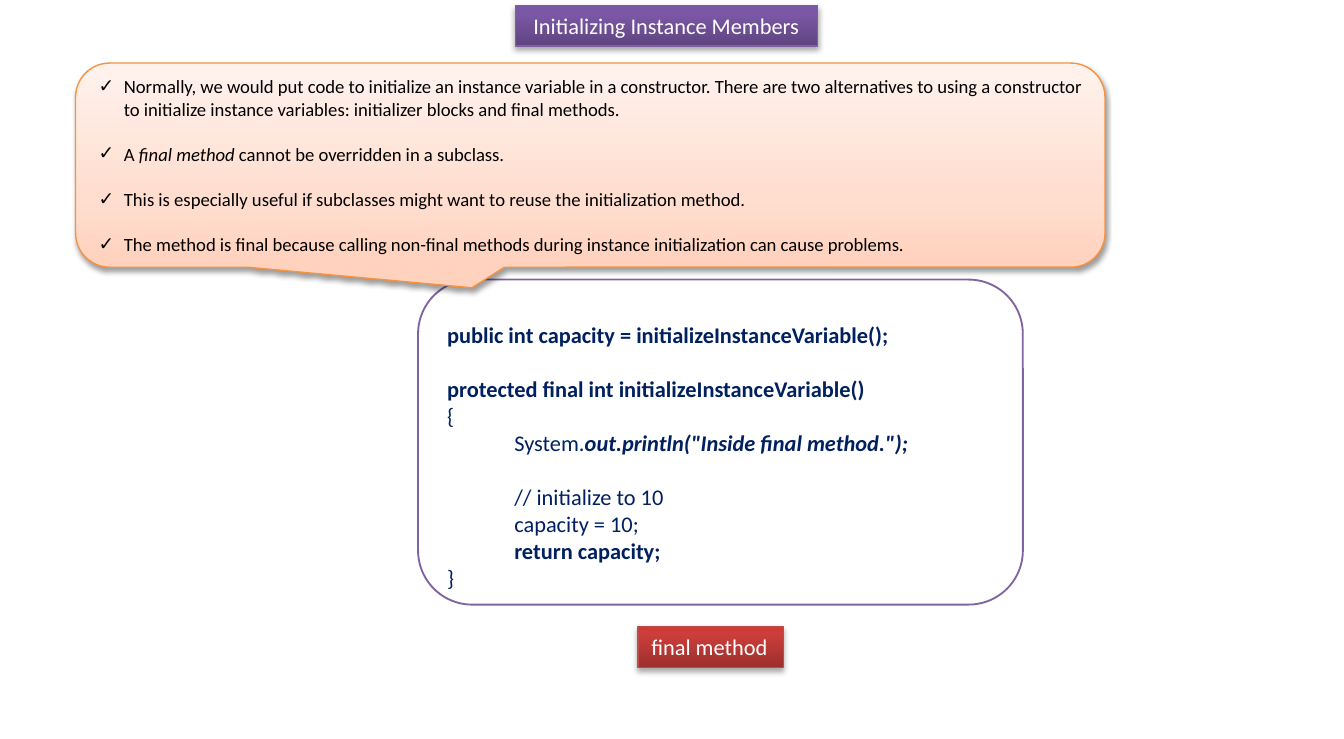
"""Builds the slide on initializing instance members with a final method."""
import pptx
import pptx.dml.color
import pptx.enum.shapes
import pptx.enum.text
import pptx.oxml.ns
import pptx.util
from lxml import etree

Pt = pptx.util.Pt
qn = pptx.oxml.ns.qn
Shape = pptx.enum.shapes.MSO_SHAPE
Align = pptx.enum.text.PP_ALIGN

PLAIN, BOLD, ITALIC, BOTH = (False, False), (True, False), (False, True), (True, True)

POINTS = [
    [("Normally, we would put code to initialize an instance variable in a constructor. "
      "There are two alternatives to using a constructor to initialize instance variables: "
      "initializer blocks and final methods.", PLAIN)],
    [("A ", PLAIN), ("final method", ITALIC), (" cannot be overridden in a subclass.", PLAIN)],
    [("This is especially useful if subclasses might want to reuse the initialization method.",
      PLAIN)],
    [("The method is final because calling non-final methods during instance initialization "
      "can cause problems.", PLAIN)],
]

CODE = [
    (0, False, [("public int capacity = initializeInstanceVariable();", BOLD)]),
    (0, True, [("protected final int initializeInstanceVariable()", BOLD)]),
    (0, False, [("{", PLAIN)]),
    (1, False, [("System.", PLAIN), ('out.println("Inside final method.");', BOTH)]),
    (1, True, [("// initialize to 10", PLAIN)]),
    (1, False, [("capacity = 10;", PLAIN)]),
    (1, False, [("return capacity;", BOLD)]),
    (0, False, [("}", PLAIN)]),
]


def rgb(value):
    return pptx.dml.color.RGBColor.from_string(value)


class SlideWriter:
    """Holds the style and the current slide."""

    font = "Calibri"
    line_height = 1.22

    def __init__(self, deck):
        self.slide = deck.slides.add_slide(deck.slide_layouts[5])

    def shape(self, kind, left, top, width, height):
        box = self.slide.shapes.add_shape(kind, Pt(left), Pt(top), Pt(width), Pt(height))
        box.shadow.inherit = False
        return box

    def outline(self, box, color, width):
        box.line.color.rgb = rgb(color)
        box.line.width = Pt(width)

    def gradient(self, box, stops):
        box.fill.gradient()
        box.fill.gradient_angle = 90
        stop_list = box._element.spPr.find(".//" + qn("a:gsLst"))
        for stop in list(stop_list):
            stop_list.remove(stop)
        for position, color in stops:
            stop = etree.SubElement(stop_list, qn("a:gs"), pos=str(position * 1000))
            etree.SubElement(stop, qn("a:srgbClr"), val=color)

    def shadow(self, box, distance, opacity):
        box.shadow.inherit = False
        effects = box._element.spPr.find(qn("a:effectLst"))
        outer = etree.SubElement(
            effects, qn("a:outerShdw"), blurRad=str(Pt(3.1)), dist=str(Pt(distance)),
            dir="5400000", rotWithShape="0")
        color = etree.SubElement(outer, qn("a:srgbClr"), val="000000")
        etree.SubElement(color, qn("a:alpha"), val=str(opacity * 1000))

    def spans(self, para, spans, size, color):
        for text, (bold, italic) in spans:
            span = para.add_run()
            span.text = text
            span.font.name = self.font
            span.font.size = Pt(size)
            span.font.bold = bold
            span.font.italic = italic
            span.font.color.rgb = rgb(color)

    def paragraph(self, frame, index):
        para = frame.paragraphs[0] if index == 0 else frame.add_paragraph()
        para.alignment = Align.LEFT
        return para

    def label(self, box, text, stops, line, wrap):
        self.gradient(box, stops)
        self.outline(box, line, 0.75)
        self.shadow(box, 1.8, 35)
        frame = box.text_frame
        frame.word_wrap = wrap
        frame.auto_size = pptx.enum.text.MSO_AUTO_SIZE.NONE
        para = frame.paragraphs[0]
        para.alignment = Align.CENTER if wrap else Align.LEFT
        self.spans(para, [(text, PLAIN)], 12, "FFFFFF")

    def title(self, text, left, top, width, height, stops, line):
        box = self.slide.shapes.title
        box.left, box.top, box.width, box.height = Pt(left), Pt(top), Pt(width), Pt(height)
        self.label(box, text, stops, line, True)

    def tag(self, text, left, top, width, height, stops, line):
        box = self.shape(Shape.RECTANGLE, left, top, width, height)
        self.label(box, text, stops, line, False)

    def code(self, lines, left, top, width, height):
        size = 12
        box = self.shape(Shape.ROUNDED_RECTANGLE, left, top, width, height)
        box.fill.solid()
        box.fill.fore_color.rgb = rgb("FFFFFF")
        self.outline(box, "8064A2", 1)
        frame = box.text_frame
        frame.word_wrap = True
        frame.margin_top = Pt(3.6 + size * self.line_height)
        for index, (level, gap, spans) in enumerate(lines):
            para = self.paragraph(frame, index)
            para.level = level
            para._p.get_or_add_pPr().set("marL", str(Pt(36 * level)))
            if gap:
                para.space_before = Pt(size * self.line_height)
            self.spans(para, spans, size, "002060")

    def callout(self, points, left, top, width, height):
        size = 10
        box = self.shape(Shape.ROUNDED_RECTANGULAR_CALLOUT, left, top, width, height)
        for index, value in enumerate((-0.115, 0.601, 0.167)):
            box.adjustments[index] = value
        self.gradient(box, [(0, "FFD2BD"), (35, "FFDED0"), (100, "FFF2ED")])
        self.outline(box, "F69240", 0.75)
        self.shadow(box, 1.6, 38)
        frame = box.text_frame
        frame.word_wrap = True
        for index, spans in enumerate(points):
            para = self.paragraph(frame, index)
            if index:
                para.space_before = Pt(size * self.line_height)
            properties = para._p.get_or_add_pPr()
            properties.set("marL", str(Pt(13.5)))
            properties.set("indent", str(Pt(-13.5)))
            etree.SubElement(properties, qn("a:buFont"), typeface=self.font)
            etree.SubElement(properties, qn("a:buChar"), char="✓")
            self.spans(para, spans, size, "000000")


def main():
    deck = pptx.Presentation()
    deck.slide_width, deck.slide_height = Pt(720), Pt(396)
    writer = SlideWriter(deck)
    writer.title("Initializing Instance Members", 276, 2.9, 162, 21.8,
                 [(0, "5F4480"), (80, "7B58A6"), (100, "7C57A8")], "7D60A0")
    writer.code(CODE, 224, 149.8, 324, 174.2)
    writer.callout(POINTS, 40.5, 33.8, 551.5, 109.4)
    writer.tag("final method", 341.8, 335.8, 77.8, 21.8,
               [(0, "9C2F2D"), (80, "CB3E3A"), (100, "CE3B37")], "BF4C48")
    deck.save("out.pptx")


if __name__ == "__main__":
    main()
